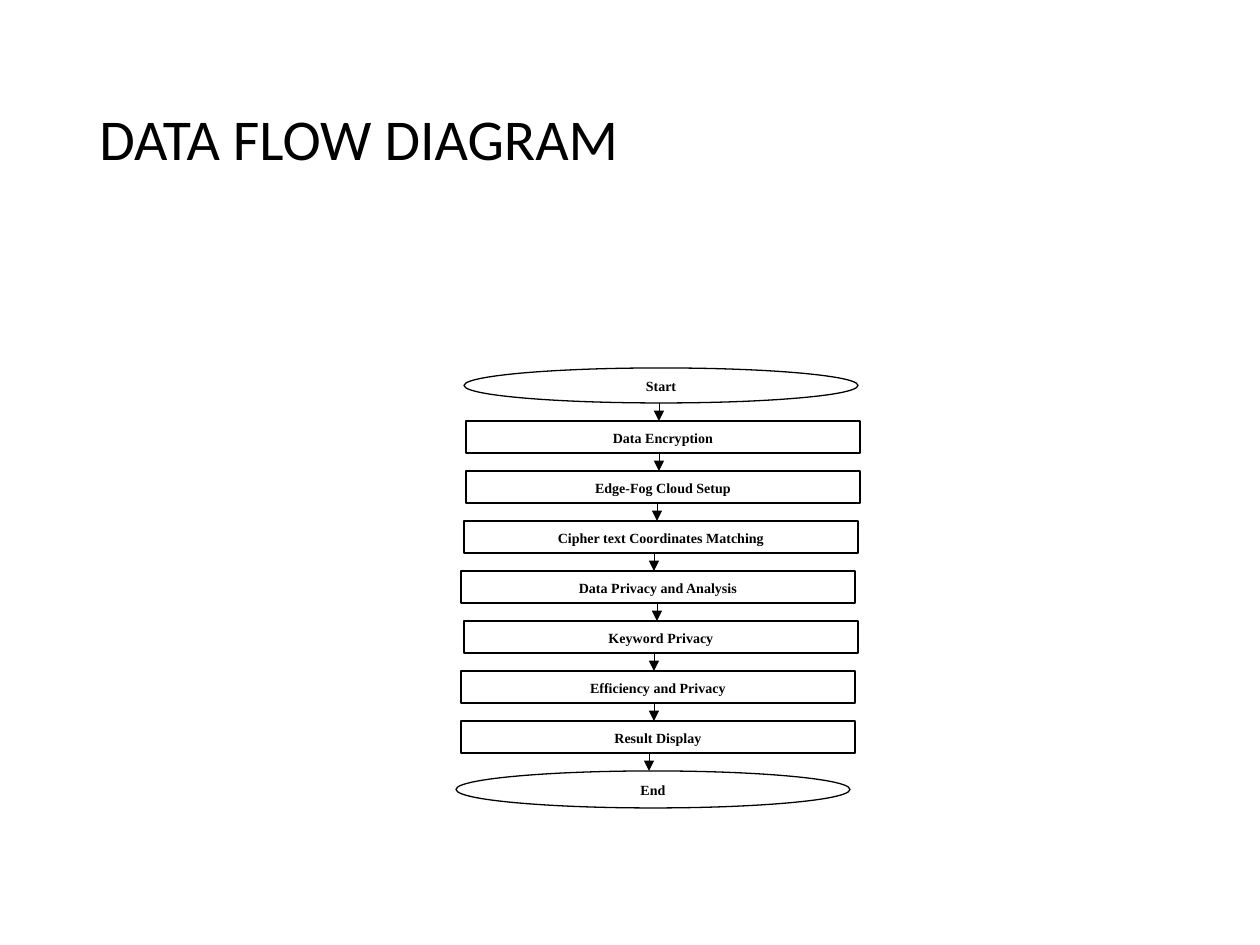
from lxml.etree import SubElement
from pptx import Presentation
from pptx.dml.color import RGBColor
from pptx.enum.shapes import MSO_CONNECTOR as LINK, MSO_SHAPE as SHAPE
from pptx.enum.text import MSO_ANCHOR as ANCHOR, PP_ALIGN as ALIGN
from pptx.oxml.ns import qn
from pptx.util import Pt

PX = 914400 / 126
COLORS = {"ink": "000000"}
TITLE = "DATA FLOW DIAGRAM"
TITLE_BOX = (87, 50, 1086, 183)

# text, left edge, shape, height
STEPS = [
    ("Start", 464, SHAPE.OVAL, 35),
    ("Data Encryption", 466, SHAPE.RECTANGLE, 32),
    ("Edge-Fog Cloud Setup", 466, SHAPE.RECTANGLE, 32),
    ("Cipher text Coordinates Matching", 464, SHAPE.RECTANGLE, 32),
    ("Data Privacy and Analysis", 461, SHAPE.RECTANGLE, 32),
    ("Keyword Privacy", 464, SHAPE.RECTANGLE, 32),
    ("Efficiency and Privacy", 461, SHAPE.RECTANGLE, 32),
    ("Result Display", 461, SHAPE.RECTANGLE, 32),
    ("End", 456, SHAPE.OVAL, 37),
]
TOP, WIDTH, GAP = 368, 394, 18
ARROW_IN = 193  # arrow's distance from the left edge of the step it enters

HEAD = {"size": Pt(33), "name": "Calibri"}
LABEL = {"size": Pt(8), "name": "Times New Roman", "bold": True}
HEAD_PAR = {"alignment": ALIGN.LEFT, "line_spacing": 0.9}
LABEL_PAR = {"alignment": ALIGN.CENTER, "line_spacing": 1.07, "space_after": Pt(8)}


def emu(*lengths):
    return [round(n * PX) for n in lengths]


def ink():
    return RGBColor.from_string(COLORS["ink"])


def write(shape, text, font, par):
    frame = shape.text_frame
    frame.word_wrap = True
    frame.vertical_anchor = ANCHOR.MIDDLE
    line = frame.paragraphs[0]
    run = line.add_run()
    run.text = text
    run.font.color.rgb = ink()
    for target, values in ((run.font, font), (line, par)):
        for key, value in values.items():
            setattr(target, key, value)


def add_step(group, text, left, top, kind, height):
    step = group.shapes.add_shape(kind, *emu(left, top, WIDTH, height))
    step.shadow.inherit = False
    step.fill.background()
    step.line.color.rgb = ink()
    step.line.width = Pt(0.75)
    write(step, text, LABEL, LABEL_PAR)


def add_arrow(group, x, start, end):
    arrow = group.shapes.add_connector(LINK.STRAIGHT, *emu(x, start, x, end))
    arrow.line.color.rgb = ink()
    arrow.line.width = Pt(0.5)
    SubElement(arrow.line._get_or_add_ln(), qn("a:tailEnd"), type="triangle")
    SubElement(arrow._element.spPr, qn("a:effectLst"))


def main():
    deck = Presentation()
    deck.slide_width, deck.slide_height = emu(1260, 945)
    slide = deck.slides.add_slide(deck.slide_layouts[6])
    write(slide.shapes.add_textbox(*emu(*TITLE_BOX)), TITLE, HEAD, HEAD_PAR)

    flow = slide.shapes.add_group_shape()
    top = TOP
    for index, (text, left, kind, height) in enumerate(STEPS):
        if index:
            add_arrow(flow, left + ARROW_IN, top - GAP, top)
        add_step(flow, text, left, top, kind, height)
        top += height + GAP
    deck.save("out.pptx")


if __name__ == "__main__":
    main()
